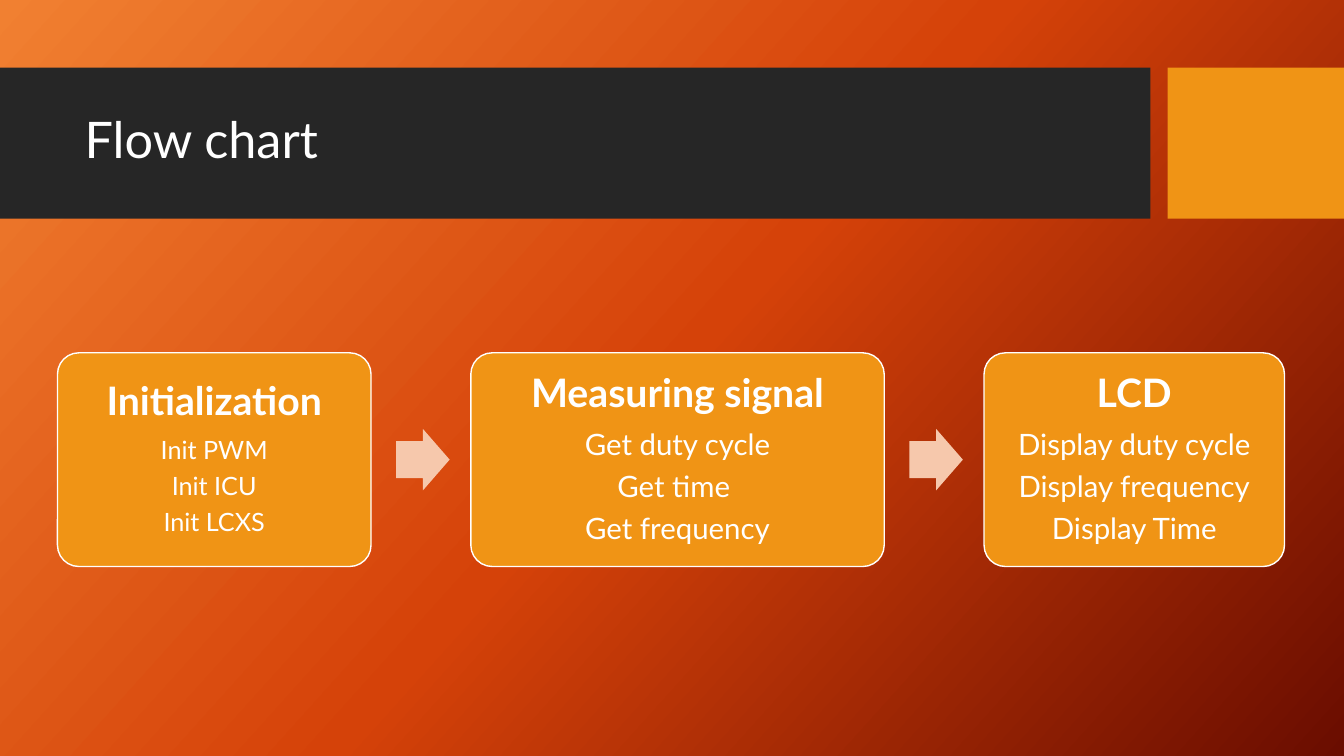
import copy

import pptx
import pptx.dml.color
import pptx.enum.shapes
import pptx.enum.text
import pptx.util

Inches = pptx.util.Inches
Pt = pptx.util.Pt
Shapes = pptx.enum.shapes.MSO_SHAPE
Align = pptx.enum.text.PP_ALIGN

FONT = "Lato"
WHITE = "FFFFFF"
ORANGE = "F09415"
CHARCOAL = "262626"
PEACH = "F6C8AC"
GRADIENT = [(0, "F18031"), (0.5, "D54209"), (1, "6A0D00")]

STEP_GAP = 0.99
STEPS = [
    (3.11, 18, "Initialization", ["Init PWM", "Init ICU", "Init LCXS"]),
    (4.1, 21, "Measuring signal", ["Get duty cycle", "Get time ", "Get frequency"]),
    (2.98, 21, "LCD", ["Display duty cycle", "Display frequency", "Display Time"]),
]


def color(value):
    """Return the colour for a hex string."""
    return pptx.dml.color.RGBColor.from_string(value)


def paint_background(slide):
    """Fill the slide background with the diagonal gradient."""
    fill = slide.background.fill
    fill.gradient()
    fill.gradient_angle = 318
    stop_list = slide.element.xpath(".//a:gsLst")[0]
    stop_list.append(copy.deepcopy(stop_list[-1]))
    for stop, (position, value) in zip(fill.gradient_stops, GRADIENT):
        stop.position = position
        stop.color.rgb = color(value)


def add_block(slide, kind, box, fill, line=None):
    """Add a flat preset shape in the given box."""
    shape = slide.shapes.add_shape(kind, *[Inches(length) for length in box])
    shape.shadow.inherit = False
    shape.fill.solid()
    shape.fill.fore_color.rgb = color(fill)
    if line:
        shape.line.color.rgb = color(line)
        shape.line.width = Pt(1)
    else:
        shape.line.fill.background()
    return shape


def write_line(paragraph, text, size, alignment, bold=False):
    """Write one formatted run into a paragraph."""
    paragraph.alignment = alignment
    paragraph.line_spacing = 0.9
    run = paragraph.add_run()
    run.text = text
    run.font.name = FONT
    run.font.size = Pt(size)
    run.font.bold = bold
    run.font.color.rgb = color(WHITE)


def add_title_band(slide, top, height):
    """Add the dark band, its orange end block and the title."""
    add_block(slide, Shapes.RECTANGLE, (0, top, 11.41, height), CHARCOAL)
    add_block(slide, Shapes.RECTANGLE, (11.58, top, 1.75, height), ORANGE)
    title = slide.shapes.title
    title.left, title.top = Inches(0.74), Inches(top + 0.15)
    title.width, title.height = Inches(10.51), Inches(1.18)
    title.text_frame.vertical_anchor = pptx.enum.text.MSO_ANCHOR.MIDDLE
    write_line(title.text_frame.paragraphs[0], "Flow chart", 36, Align.LEFT)
    title.element.getparent().append(title.element)


def add_step(slide, box, heading, details, detail_size):
    """Add a rounded step with a heading and its detail lines."""
    step = add_block(slide, Shapes.ROUNDED_RECTANGLE, box, ORANGE, WHITE)
    step.adjustments[0] = 0.1
    frame = step.text_frame
    frame.word_wrap = True
    frame.vertical_anchor = pptx.enum.text.MSO_ANCHOR.MIDDLE
    frame.margin_left = frame.margin_right = Inches(0.12)
    frame.margin_top = frame.margin_bottom = Inches(0.12)
    write_line(frame.paragraphs[0], heading, 28, Align.CENTER, True)
    frame.paragraphs[0].space_after = Pt(28 * 0.35)
    for detail in details:
        paragraph = frame.add_paragraph()
        write_line(paragraph, detail, detail_size, Align.CENTER)
        paragraph.space_after = Pt(detail_size * 0.35)


def add_flow(slide, left, top, height):
    """Add the steps from left to right with an arrow in each gap."""
    for index, (width, size, heading, details) in enumerate(STEPS):
        if index:
            arrow_box = (left - 0.74, top + (height - 0.61) / 2, 0.53, 0.61)
            arrow = add_block(slide, Shapes.RIGHT_ARROW, arrow_box, PEACH)
            arrow.adjustments[0] = 0.6
            arrow.adjustments[1] = 0.5
        add_step(slide, (left, top, width, height), heading, details, size)
        left += width + STEP_GAP


def main():
    """Build and save the presentation."""
    presentation = pptx.Presentation()
    presentation.slide_width = Inches(13.33)
    presentation.slide_height = Inches(7.5)
    slide = presentation.slides.add_slide(presentation.slide_layouts[5])
    paint_background(slide)
    add_title_band(slide, 0.67, 1.5)
    add_flow(slide, 0.57, 3.5, 2.12)
    presentation.save("out.pptx")


if __name__ == "__main__":
    main()
